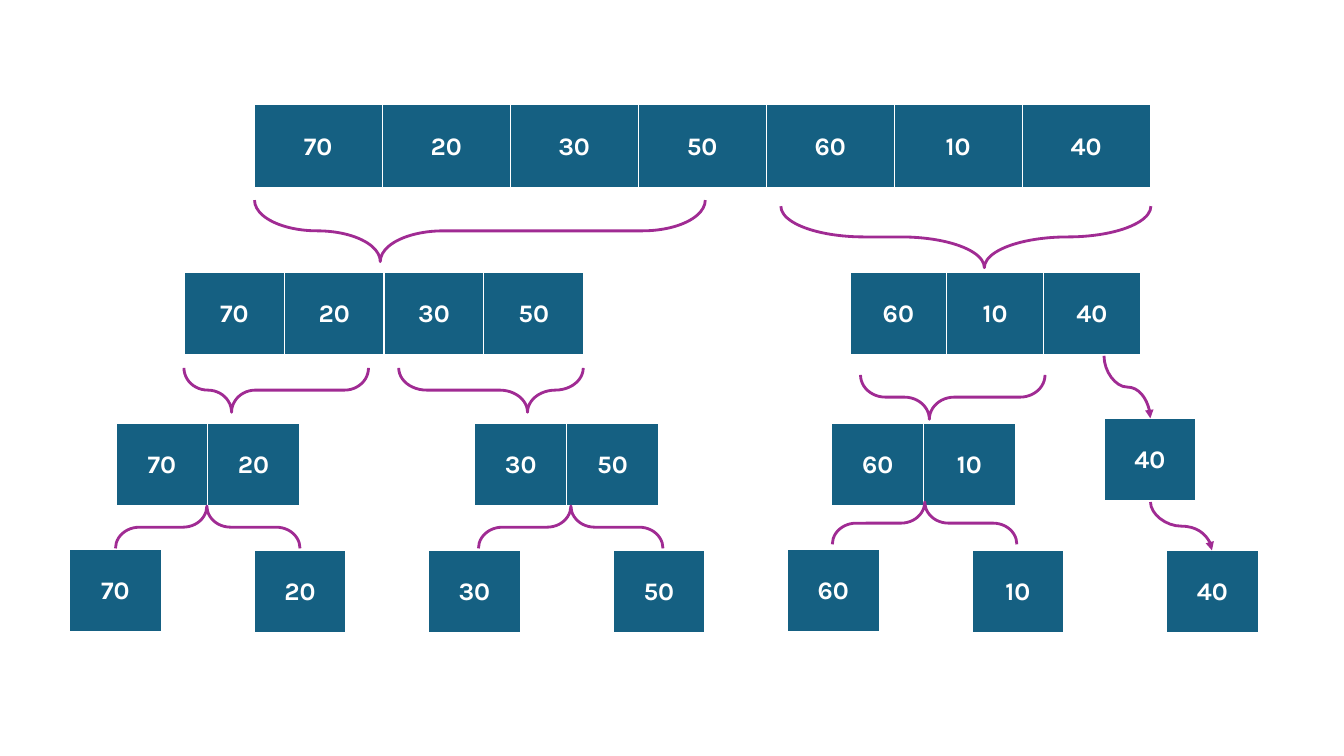
"""Draw the splitting phase of merge sort as a tree of number arrays."""
from lxml.etree import SubElement
from pptx import Presentation
from pptx.dml.color import RGBColor
from pptx.enum.shapes import MSO_CONNECTOR, MSO_SHAPE
from pptx.enum.text import MSO_ANCHOR, PP_ALIGN
from pptx.oxml.ns import qn
from pptx.util import Inches, Pt

BLUE = RGBColor(0x15, 0x60, 0x82)
PURPLE = RGBColor(0xA0, 0x2B, 0x93)
WHITE = RGBColor(0xFF, 0xFF, 0xFF)
BORDERS = {"a:lnL": 1, "a:lnR": 1, "a:lnT": 1, "a:lnB": 3}
ROW_HEIGHT = 0.83
ROOT, HALVES, PAIRS, LEAVES = 1.04, 2.7, 4.2, 5.46
ROOT_CELL, HALF_CELL, TRIO_CELL, CELL = 1.27, 0.99, 0.96, 0.91
SPAN = 1.83
DOWN, UP = 270, 90

deck = Presentation()
deck.slide_width, deck.slide_height = Inches(13.33), Inches(7.5)
slide = deck.slides.add_slide(deck.slide_layouts[6])

arrays = [
    (2.52, ROOT, ROOT_CELL, [70, 20, 30, 50, 60, 10, 40]),
    (1.83, HALVES, HALF_CELL, [70, 20, 30, 50]),
    (8.43, HALVES, TRIO_CELL, [60, 10, 40]),
    (1.15, PAIRS, CELL, [70, 20]),
    (4.71, PAIRS, CELL, [30, 50]),
    (8.25, PAIRS, CELL, [60, 10]),
    (10.95, PAIRS - 0.05, CELL, [40]),
    (0.69, LEAVES - 0.01, CELL, [70]),
    (0.69 + SPAN, LEAVES, CELL, [20]),
    (4.25, LEAVES, CELL, [30]),
    (4.25 + SPAN, LEAVES, CELL, [50]),
    (7.81, LEAVES - 0.01, CELL, [60]),
    (7.81 + SPAN, LEAVES, CELL, [10]),
    (11.57, LEAVES, CELL, [40]),
]
for left, top, cell_width, numbers in arrays:
    array = slide.shapes.add_table(
        1, len(numbers), Inches(left), Inches(top),
        Inches(cell_width * len(numbers)), Inches(ROW_HEIGHT)).table
    array.first_row = array.horz_banding = False
    for column, number in enumerate(numbers):
        cell = array.cell(0, column)
        cell.vertical_anchor = MSO_ANCHOR.MIDDLE
        for side, weight in BORDERS.items():
            border = SubElement(cell._tc.get_or_add_tcPr(), qn(side), w=str(Pt(weight)))
            SubElement(SubElement(border, qn("a:solidFill")), qn("a:srgbClr"), val=str(WHITE))
        cell.fill.solid()
        cell.fill.fore_color.rgb = BLUE
        paragraph = cell.text_frame.paragraphs[0]
        paragraph.alignment = PP_ALIGN.CENTER
        label = paragraph.add_run()
        label.text = str(number)
        label.font.name, label.font.size, label.font.bold = "Karla", Pt(18), True
        label.font.color.rgb = WHITE

braces = [
    (4.76, 2.29, 4.47, 0.61, DOWN, 1.438, 0.279),
    (9.58, 2.35, 3.67, 0.61, DOWN, 1.604, 0.55),
    (2.74, 3.87, SPAN, 0.44, DOWN, 0.989, 0.258),
    (9.45, 3.94, SPAN, 0.44, DOWN, 0.562, 0.373),
    (2.06, 5.23, SPAN, 0.42, UP, 0.562, 0.505),
    (5.66, 5.23, SPAN, 0.42, UP, 0.562, 0.499),
    (4.87, 3.87, SPAN, 0.44, DOWN, 0.869, 0.698),
    (9.17, 5.19, SPAN, 0.42, UP, 0.562, 0.499),
]
for center_x, center_y, span, depth, direction, curl, point in braces:
    brace = slide.shapes.add_shape(
        MSO_SHAPE.LEFT_BRACE, Inches(center_x - depth / 2), Inches(center_y - span / 2),
        Inches(depth), Inches(span))
    brace.rotation = direction
    brace.adjustments[0], brace.adjustments[1] = curl, point
    brace.shadow.inherit = False
    brace.fill.background()
    brace.line.color.rgb = PURPLE
    brace.line.width = Pt(2)

for start_x, start_y, end_x, end_y in [(10.95, 3.53, 11.41, 4.15), (11.41, 4.98, 12.02, 5.46)]:
    middle_x, middle_y = (start_x + end_x) / 2, (start_y + end_y) / 2
    half_run, half_drop = (end_x - start_x) / 2, (end_y - start_y) / 2
    arrow = slide.shapes.add_connector(
        MSO_CONNECTOR.CURVE,
        Inches(middle_x + half_drop), Inches(middle_y - half_run),
        Inches(middle_x - half_drop), Inches(middle_y + half_run))
    arrow.line.color.rgb = PURPLE
    arrow.line.width = Pt(2)
    properties = arrow._element.spPr
    properties.find(qn("a:xfrm")).set("rot", str(DOWN * 60000))
    SubElement(properties.find(qn("a:ln")), qn("a:tailEnd"), type="triangle")
    SubElement(properties, qn("a:effectLst"))

deck.save("out.pptx")
